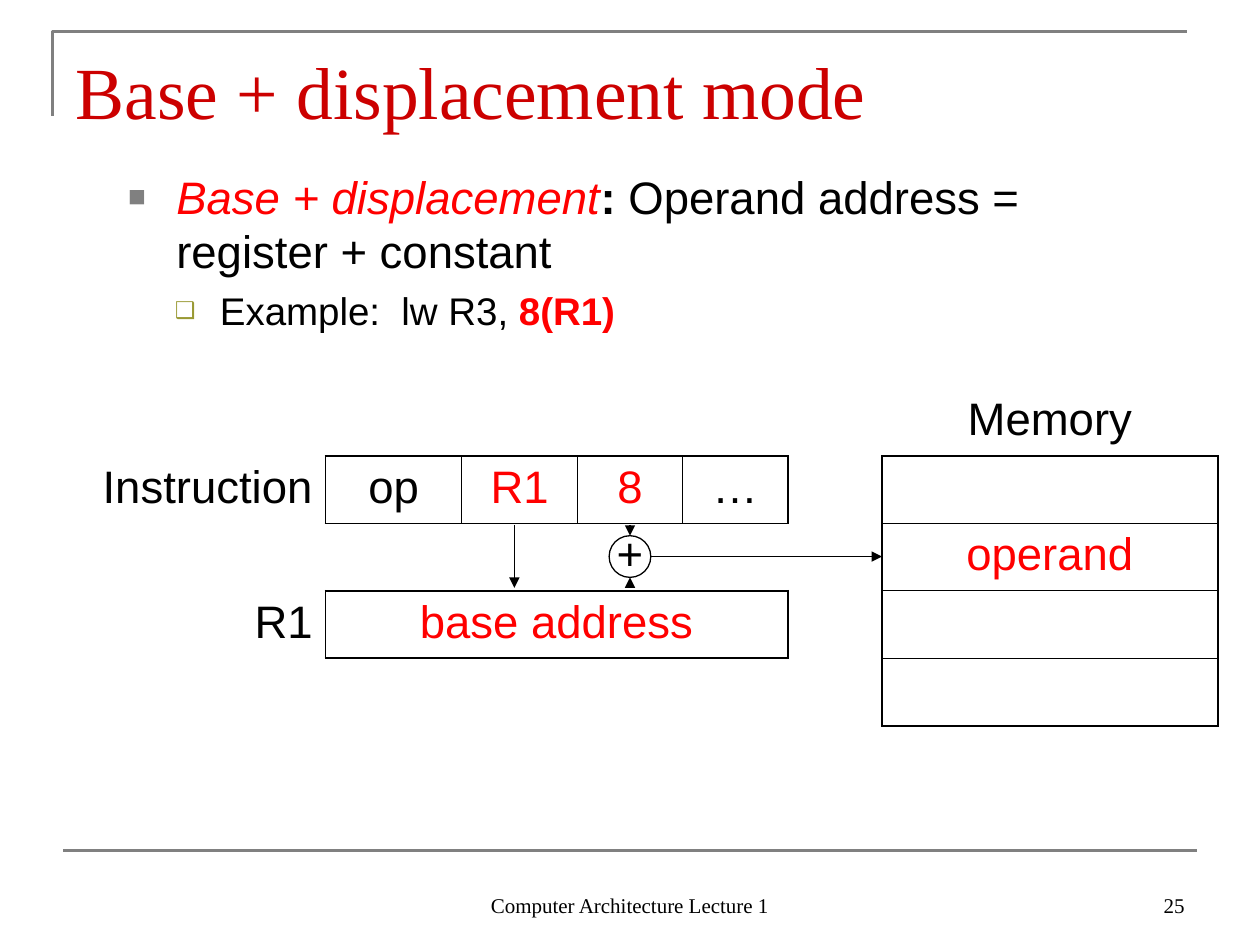
"""Build the slide that explains base + displacement addressing."""
from dataclasses import dataclass

import lxml.etree
import pptx
import pptx.dml.color
import pptx.enum.shapes
import pptx.enum.text
import pptx.oxml.ns
import pptx.util

Cm = pptx.util.Cm
Pt = pptx.util.Pt
Align = pptx.enum.text.PP_ALIGN
Anchor = pptx.enum.text.MSO_ANCHOR
qn = pptx.oxml.ns.qn

BLACK, RED, GREY = "000000", "FF0000", "808080"
THICK, THIN = 1.08, 0.45
COLUMN_WIDTHS = (4.87, 2.75, 2.33, 1.48, 0.64, 2.12, 1.9, 6.77)
ROW_COUNT, ROW_HEIGHT = 5, 1.36
MEMORY = len(COLUMN_WIDTHS) - 1
NO_STYLE = "{2D5ABB26-0587-4C30-8999-92F81FD0307C}"
SIDES = {"L": ("R", 0, -1), "R": ("L", 0, 1), "T": ("B", -1, 0), "B": ("T", 1, 0)}


@dataclass
class Field:
    """A table cell, possibly spanning columns; thin names its light sides."""
    row: int
    first: int
    last: int
    text: str = ""
    color: str = BLACK
    framed: bool = True
    thin: str = ""
    align: Align = Align.CENTER


@dataclass
class Run:
    """A stretch of text in one style."""
    text: str
    color: str = BLACK
    bold: bool = False
    italic: bool = False


@dataclass
class Bullet:
    """A list entry with its marker and indents in centimetres."""
    runs: list[Run]
    size: float
    mark: str
    mark_color: str
    mark_size: int
    margin: float
    hanging: float
    level: int = 0
    space_before: float = 0


@dataclass
class Link:
    """A straight line between two points in centimetres."""
    start: tuple[float, float]
    end: tuple[float, float]
    color: str = BLACK
    width: float = 0.75
    arrow: bool = True


FIELDS = [
    Field(0, 3, 5, framed=False),
    Field(0, MEMORY, MEMORY, "Memory", framed=False),
    Field(1, 0, 0, "Instruction", framed=False, align=Align.RIGHT),
    Field(1, 1, 1, "op", thin="R"),
    Field(1, 2, 2, "R1", RED, thin="LR"),
    Field(1, 3, 4, "8", RED, thin="LR"),
    Field(1, 5, 5, "…", thin="L"),
    Field(2, 3, 4, "+", framed=False),
    Field(3, 0, 0, "R1", framed=False, align=Align.RIGHT),
    Field(3, 1, 5, "base address", RED),
    Field(4, 2, 3, framed=False),
    Field(4, 4, 5, framed=False),
    Field(1, MEMORY, MEMORY, thin="B"),
    Field(2, MEMORY, MEMORY, "operand", RED, thin="TB"),
    Field(3, MEMORY, MEMORY, thin="TB"),
    Field(4, MEMORY, MEMORY, thin="T"),
]
BULLETS = [
    Bullet([Run("Base + displacement", RED, italic=True), Run(": ", bold=True),
            Run("Operand address = register + constant")],
           26, "■", GREY, 65, 0.97, 0.97),
    Bullet([Run("Example:  lw R3, "), Run("8(R1)", RED, bold=True)],
           22, "❑", "999933", 60, 1.85, 0.91, level=1, space_before=5.5),
]
LINKS = [
    Link((1.27, 17.15), (24.13, 17.15), GREY, 1.5, arrow=False),
    Link((10.37, 10.58), (10.37, 11.85)),
    Link((12.7, 10.58), (12.7, 10.8)),
    Link((12.7, 11.85), (12.7, 11.64)),
    Link((13.12, 11.22), (17.78, 11.22)),
]


def rgb(color: str) -> pptx.dml.color.RGBColor:
    """Turn a hex string into a colour."""
    return pptx.dml.color.RGBColor.from_string(color)


def style(font, size: float, color: str, name: str = "Arial") -> None:
    """Apply the typeface, size and colour to a font."""
    font.name, font.size = name, Pt(size)
    font.color.rgb = rgb(color)


def place(shape, left: float, top: float, width: float, height: float) -> None:
    """Move and size a shape in centimetres."""
    shape.left, shape.top = Cm(left), Cm(top)
    shape.width, shape.height = Cm(width), Cm(height)


def write_title(title) -> None:
    """Fill the title placeholder."""
    place(title, 1.27, 0.76, 22.86, 1.98)
    frame = title.text_frame
    frame.text = "Base + displacement mode"
    frame.auto_size = pptx.enum.text.MSO_AUTO_SIZE.NONE
    frame.vertical_anchor = Anchor.BOTTOM
    frame.margin_bottom = Cm(0.03)
    frame.paragraphs[0].alignment = Align.LEFT
    style(frame.paragraphs[0].runs[0].font, 42, "CC0000", "Times New Roman")


def write_bullets(body, bullets: list[Bullet]) -> None:
    """Fill the body placeholder with the list."""
    place(body, 2.33, 3.18, 21.8, 5.46)
    frame = body.text_frame
    frame.auto_size = pptx.enum.text.MSO_AUTO_SIZE.NONE
    frame.margin_top = Cm(0.22)
    for index, bullet in enumerate(bullets):
        paragraph = frame.add_paragraph() if index else frame.paragraphs[0]
        paragraph.level = bullet.level
        paragraph.space_before = Pt(bullet.space_before)
        properties = paragraph._p.get_or_add_pPr()
        properties.set("marL", str(Cm(bullet.margin)))
        properties.set("indent", str(-Cm(bullet.hanging)))
        tint = lxml.etree.SubElement(properties, qn("a:buClr"))
        lxml.etree.SubElement(tint, qn("a:srgbClr"), val=bullet.mark_color)
        lxml.etree.SubElement(properties, qn("a:buSzPct"), val=str(bullet.mark_size * 1000))
        lxml.etree.SubElement(properties, qn("a:buChar"), char=bullet.mark)
        for part in bullet.runs:
            run = paragraph.add_run()
            run.text = part.text
            style(run.font, bullet.size, part.color)
            run.font.bold, run.font.italic = part.bold, part.italic


def collect_borders(fields: list[Field]) -> dict[tuple[int, int, str], float]:
    """Give the border widths by row, column and side, neighbours included."""
    borders = {}
    for field in (entry for entry in fields if entry.framed):
        for side, (opposite, down, across) in SIDES.items():
            width = THIN if side in field.thin else THICK
            edge = {"L": [field.first], "R": [field.last]}.get(
                side, range(field.first, field.last + 1))
            for column in edge:
                borders[field.row, column, side] = width
                borders[field.row + down, column + across, opposite] = width
            borders[field.row, field.first, side] = width
    return borders


def add_diagram_table(slide, fields: list[Field]) -> None:
    """Draw the instruction, register and memory cells."""
    frame = slide.shapes.add_table(
        ROW_COUNT, len(COLUMN_WIDTHS), Cm(1.69), Cm(7.83),
        Cm(sum(COLUMN_WIDTHS)), Cm(ROW_COUNT * ROW_HEIGHT))
    table = frame.table
    table.first_row = table.horz_banding = False
    table._tbl.tblPr.find(qn("a:tableStyleId")).text = NO_STYLE
    for column, width in zip(table.columns, COLUMN_WIDTHS):
        column.width = Cm(width)
    for row in table.rows:
        row.height = Cm(ROW_HEIGHT)
    borders = collect_borders(fields)
    for row in range(ROW_COUNT):
        for column in range(len(COLUMN_WIDTHS)):
            cell = table.cell(row, column)
            properties = cell._tc.get_or_add_tcPr()
            for side in SIDES:
                if (row, column, side) in borders:
                    line = lxml.etree.SubElement(properties, qn(f"a:ln{side}"),
                                                 w=str(Pt(borders[row, column, side])))
                    paint = lxml.etree.SubElement(line, qn("a:solidFill"))
                    lxml.etree.SubElement(paint, qn("a:srgbClr"), val=BLACK)
            cell.fill.background()
    for field in fields:
        cell = table.cell(field.row, field.first)
        if field.last > field.first:
            cell.merge(table.cell(field.row, field.last))
        if field.text:
            cell.text_frame.text = field.text
            paragraph = cell.text_frame.paragraphs[0]
            paragraph.alignment = field.align
            style(paragraph.runs[0].font, 26, field.color)


def add_link(slide, link: Link) -> None:
    """Draw a line, with an arrowhead at its end if asked."""
    connector = slide.shapes.add_connector(
        pptx.enum.shapes.MSO_CONNECTOR.STRAIGHT, *map(Cm, link.start + link.end))
    connector.line.color.rgb = rgb(link.color)
    connector.line.width = Pt(link.width)
    if link.arrow:
        lxml.etree.SubElement(connector.line._get_or_add_ln(), qn("a:tailEnd"), type="triangle")
    lxml.etree.SubElement(connector._element.spPr, qn("a:effectLst"))


def outline(shape, color: str, width: float) -> None:
    """Leave a shape unfilled with a plain line."""
    shape.shadow.inherit = False
    shape.fill.background()
    shape.line.color.rgb = rgb(color)
    shape.line.width = Pt(width)


def add_footer(slide, text: str, left: float, width: float, align: Align) -> None:
    """Write one footer text."""
    frame = slide.shapes.add_textbox(Cm(left), Cm(17.35), Cm(width), Cm(1.27)).text_frame
    frame.word_wrap = True
    frame.vertical_anchor = Anchor.BOTTOM
    frame.text = text
    frame.paragraphs[0].alignment = align
    style(frame.paragraphs[0].runs[0].font, 12, BLACK, "Times New Roman")


def main() -> None:
    """Assemble and save the slide."""
    deck = pptx.Presentation()
    deck.slide_width, deck.slide_height = Cm(25.4), Cm(19.05)
    slide = deck.slides.add_slide(deck.slide_layouts[1])
    write_title(slide.shapes.title)
    write_bullets(slide.placeholders[1], BULLETS)
    corner = slide.shapes.build_freeform(Cm(1.06), Cm(2.33))
    corner.add_line_segments([(Cm(1.06), Cm(0.64)), (Cm(23.92), Cm(0.64))], close=False)
    outline(corner.convert_to_shape(), GREY, 1.5)
    add_footer(slide, "Computer Architecture Lecture 1", 8.68, 8.04, Align.CENTER)
    add_footer(slide, "25", 18.2, 5.93, Align.RIGHT)
    add_diagram_table(slide, FIELDS)
    adder = slide.shapes.add_shape(
        pptx.enum.shapes.MSO_SHAPE.OVAL, Cm(12.28), Cm(10.8), Cm(0.84), Cm(0.84))
    outline(adder, BLACK, 0.75)
    for link in LINKS:
        add_link(slide, link)
    deck.save("out.pptx")


if __name__ == "__main__":
    main()
